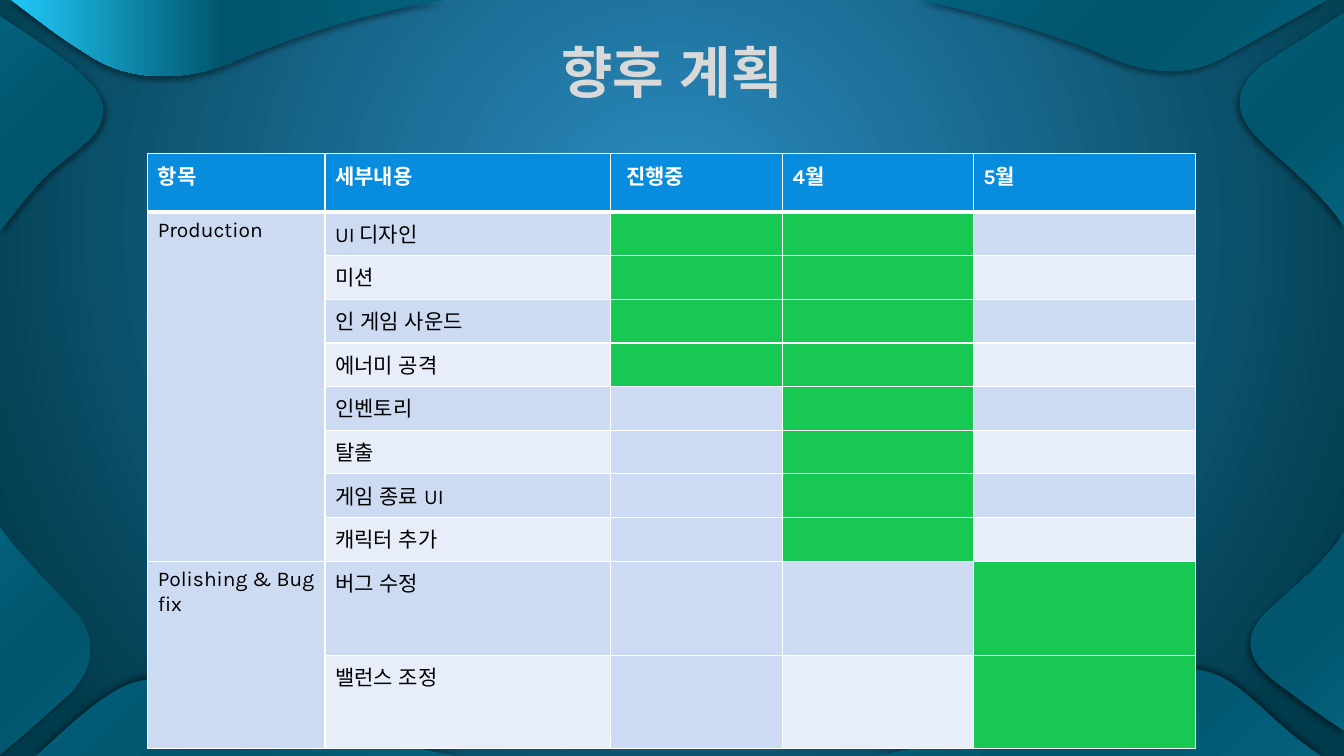
from lxml import etree
from pptx import Presentation
from pptx.dml.color import RGBColor
from pptx.enum.lang import MSO_LANGUAGE_ID
from pptx.enum.text import MSO_ANCHOR, MSO_AUTO_SIZE, PP_ALIGN
from pptx.oxml import parse_xml
from pptx.oxml.ns import nsdecls, qn
from pptx.util import Pt

TITLE = "향후 계획"
HEADERS = ["항목", "세부내용", " 진행중", "4월", "5월"]
PLAN = [
    ("Production", [
        ("UI 디자인", (2, 3)),
        ("미션", (2, 3)),
        ("인 게임 사운드", (2, 3)),
        ("에너미 공격", (2, 3)),
        ("인벤토리", (3,)),
        ("탈출", (3,)),
        ("게임 종료 UI", (3,)),
        ("캐릭터 추가", (3,)),
    ]),
    ("Polishing & Bug fix", [
        ("버그 수정", (4,)),
        ("밸런스 조정", (4,)),
    ]),
]
COLUMN_WIDTHS = [126.7, 203.8, 123.1, 136.1, 159.1]
ROW_HEIGHTS = [41.6] + [31.2] * 8 + [67.2, 66.4]

THEME = {
    "background": [(0, "2C8CC2"), (100, "003B4B")],
    "wave": [(0, "04617B"), (50, "00546B"), (100, "04617B")],
    "bright_wave": [(0, "20C9F8"), (50, "00546B"), (100, "04617B")],
    "title": [(0, "FFFFFF"), (44, "D9D9D9"), (100, "808080")],
    "header": "088CDE",
    "bands": ["E7EEF9", "CCDAF2"],
    "idle": "CCDBF3",
    "busy": "17C952",
    "light": "FFFFFF",
    "dark": "000000",
    "title_font": {"name": "Roboto", "size": Pt(40), "bold": True,
                   "language_id": MSO_LANGUAGE_ID.KOREAN},
    "table_font": {"name": "Karla", "size": Pt(15),
                   "language_id": MSO_LANGUAGE_ID.KOREAN},
}

WAVES = [
    ("bright_wave", 0, 90, (7.9, 0), [
        (315.4, 0), (252, 10.8, 202.3, 28.8, 166.3, 43.9),
        (131, 59, 92.9, 57.6, 66.2, 41), (39.6, 24.5, 35.3, 20.2, 7.9, 0)]),
    ("wave", 45, 45, (0, 11.5), [
        (0, 62.6, 0, 113.8, 0, 164.9), (37.4, 116.6, 31.7, 127.4, 63.4, 100.1),
        (91.4, 69.8, 58.3, 50.4, 0, 11.5)]),
    ("wave", 45, 130, (947.5, 0), [
        (656.6, 0), (712.1, 11.5, 759.6, 26.6, 792.7, 41),
        (825.8, 54.7, 851, 53.3, 874.1, 41), (897.1, 28.1, 918.7, 16.6, 947.5, 0)]),
    ("wave", 45, 130, (960, 9.4), [
        (960, 60.5, 960, 110.9, 960, 162), (946.8, 140.4, 920.9, 119.5, 901.4, 101.5),
        (890.6, 90.7, 871.9, 69.8, 902.2, 46.1), (960, 9.4)]),
    ("wave", 45, 130, (960, 522), [
        (960, 474.5, 960, 427.7, 960, 380.2), (948.2, 400.3, 924.5, 419, 905.8, 436.3),
        (895.7, 445.7, 882, 464.4, 910.1, 486), (926.6, 498.2, 937.4, 506.9, 960, 522)]),
    ("wave", 45, 270, (943.9, 540), [
        (625.7, 540), (686.9, 528.5, 734.4, 514.1, 774.7, 500.4),
        (815, 487.4, 838.8, 467.3, 874.1, 484.6), (896.4, 497.5, 914.4, 521.3, 943.9, 540)]),
    ("wave", 45, 270, (25.2, 540.7), [
        (328.3, 540.7), (254.2, 525.6, 218.9, 515.5, 181.4, 502.6),
        (144, 489.6, 115.2, 477.4, 87.1, 491), (65.5, 502.6, 48.2, 519.8, 25.2, 540.7)]),
    ("wave", 45, 135, (0, 538.6), [
        (0, 484.6, 0, 430.6, 0, 376.6), (15.8, 398.9, 36.7, 418.3, 54, 437.8),
        (63.4, 447.1, 74.2, 472.3, 47.5, 497.5), (31.7, 511.2, 21.6, 521.3, 0, 538.6)]),
]


def apply(target, values):
    for name, value in values.items():
        setattr(target, name, value)


def gradient(stops, direction):
    stop_list = "".join(
        f'<a:gs pos="{position * 1000}"><a:srgbClr val="{color}"/></a:gs>'
        for position, color in stops)
    return parse_xml(f'<a:gradFill {nsdecls("a")} rotWithShape="1">'
                     f'<a:gsLst>{stop_list}</a:gsLst>{direction}</a:gradFill>')


def linear(stops, angle):
    return gradient(stops, f'<a:lin ang="{angle * 60000}" scaled="0"/>')


def set_background(slide):
    fill = gradient(THEME["background"],
                    '<a:path path="circle"><a:fillToRect l="50000" t="30000" '
                    'r="50000" b="70000"/></a:path>')
    background = parse_xml(f'<p:bg {nsdecls("p", "a")}><p:bgPr><a:effectLst/></p:bgPr></p:bg>')
    background[0].insert(0, fill)
    slide.element.cSld.insert(0, background)


def bend_outline(properties, segments):
    lines = list(properties.iter(qn("a:lnTo")))
    for segment in segments:
        count = len(segment) // 2
        corners, lines = lines[:count], lines[count:]
        if count == 3:
            curve = etree.Element(qn("a:cubicBezTo"))
            corners[0].addprevious(curve)
            for corner in corners:
                curve.append(corner[0])
                corner.getparent().remove(corner)


def add_wave(slide, color, angle, shadow_angle, start, segments):
    points = [(Pt(x), Pt(y)) for segment in segments
              for x, y in zip(segment[::2], segment[1::2])]
    builder = slide.shapes.build_freeform(Pt(start[0]), Pt(start[1]), scale=1.0)
    builder.add_line_segments(points, close=True)
    shape = builder.convert_to_shape()
    shape.line.fill.background()
    shape.shadow.inherit = False
    properties = shape._element.spPr
    bend_outline(properties, segments)
    properties.find(qn("a:ln")).addprevious(linear(THEME[color], angle))
    properties.find(qn("a:effectLst")).append(parse_xml(
        f'<a:outerShdw {nsdecls("a")} blurRad="{Pt(4)}" dist="{Pt(3)}" '
        f'dir="{shadow_angle * 60000}" algn="ctr" rotWithShape="0">'
        f'<a:srgbClr val="{THEME["dark"]}"><a:alpha val="40000"/></a:srgbClr></a:outerShdw>'))


def set_title(slide):
    title = slide.shapes.title
    apply(title, {"left": Pt(48), "top": Pt(6), "width": Pt(864), "height": Pt(90)})
    apply(title.text_frame, {"text": TITLE, "word_wrap": True,
                             "auto_size": MSO_AUTO_SIZE.NONE,
                             "vertical_anchor": MSO_ANCHOR.MIDDLE})
    paragraph = title.text_frame.paragraphs[0]
    paragraph.alignment = PP_ALIGN.CENTER
    run = paragraph.runs[0]
    apply(run.font, THEME["title_font"])
    run._r.get_or_add_rPr().insert(0, linear(THEME["title"], 90))
    slide.shapes._spTree.append(title._element)


def format_cell(cell, fill, text="", header=False, below_header=False):
    apply(cell, {"margin_left": Pt(7.2), "margin_right": Pt(7.2),
                 "margin_top": Pt(4.3), "margin_bottom": Pt(4.3)})
    properties = cell._tc.get_or_add_tcPr()
    for side in "LRTB":
        thick = (side == "B" and header) or (side == "T" and below_header)
        border = etree.SubElement(properties, qn(f"a:ln{side}"), w=str(Pt(3 if thick else 1)))
        line_fill = etree.SubElement(border, qn("a:solidFill"))
        etree.SubElement(line_fill, qn("a:srgbClr"), val=THEME["light"])
    cell.fill.solid()
    cell.fill.fore_color.rgb = RGBColor.from_string(fill)
    if text:
        cell.text = text
        font = cell.text_frame.paragraphs[0].runs[0].font
        apply(font, {**THEME["table_font"], "bold": header})
        font.color.rgb = RGBColor.from_string(THEME["light" if header else "dark"])


def add_schedule(slide):
    table = slide.shapes.add_table(len(ROW_HEIGHTS), len(COLUMN_WIDTHS), Pt(105.5), Pt(109.8),
                                   Pt(sum(COLUMN_WIDTHS)), Pt(sum(ROW_HEIGHTS))).table
    table.horz_banding = False
    for column, width in zip(table.columns, COLUMN_WIDTHS):
        column.width = Pt(width)
    for row, height in zip(table.rows, ROW_HEIGHTS):
        row.height = Pt(height)
    for column, text in enumerate(HEADERS):
        format_cell(table.cell(0, column), THEME["header"], text, header=True)
    row = 1
    for phase, tasks in PLAN:
        first_row = row
        for task, busy_columns in tasks:
            band = THEME["bands"][row % 2]
            texts = [phase if row == first_row else "", task, "", "", ""]
            fills = [THEME["bands"][1], band, THEME["idle"], band, band]
            for column, (text, fill) in enumerate(zip(texts, fills)):
                fill = THEME["busy"] if column in busy_columns else fill
                format_cell(table.cell(row, column), fill, text, below_header=row == 1)
            row += 1
        table.cell(first_row, 0).merge(table.cell(row - 1, 0))


def main():
    presentation = Presentation()
    apply(presentation, {"slide_width": Pt(960), "slide_height": Pt(540)})
    slide = presentation.slides.add_slide(presentation.slide_layouts[5])
    set_background(slide)
    for wave in WAVES:
        add_wave(slide, *wave)
    set_title(slide)
    add_schedule(slide)
    presentation.save("out.pptx")


if __name__ == "__main__":
    main()
